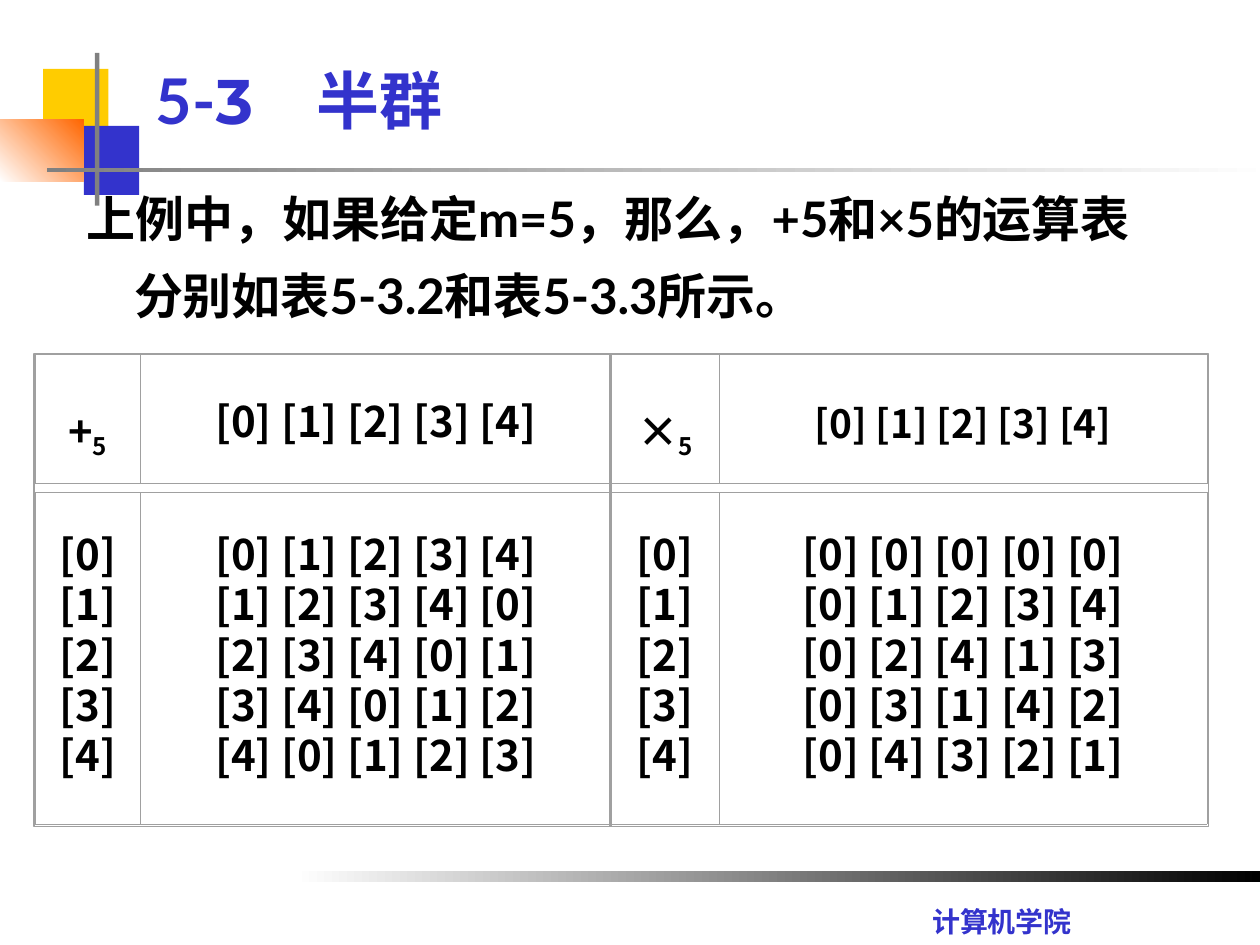
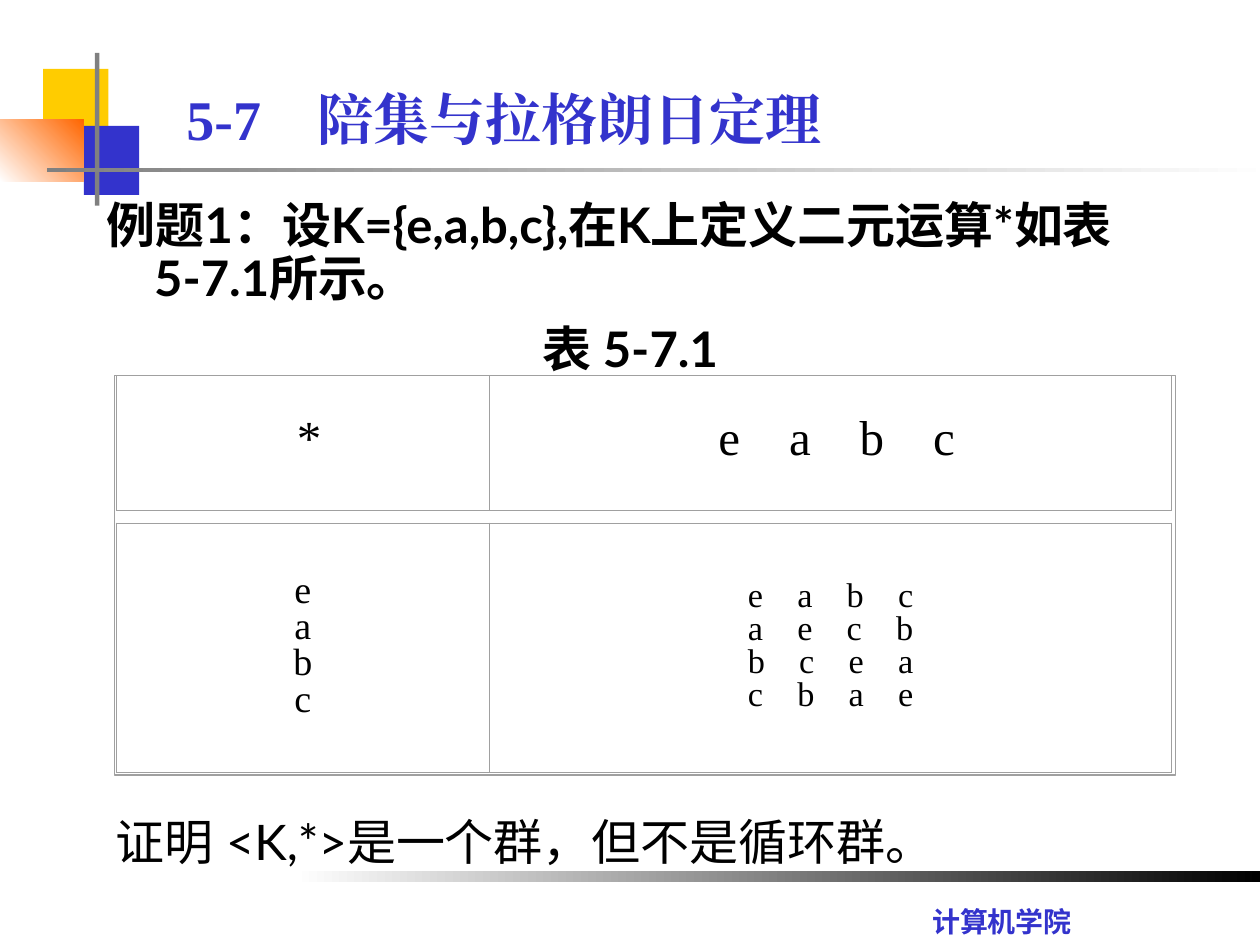
from lxml.etree import SubElement
from pptx import Presentation
from pptx.dml.color import RGBColor
from pptx.enum.shapes import MSO_SHAPE
from pptx.enum.text import MSO_ANCHOR, PP_ALIGN
from pptx.oxml.ns import qn
from pptx.util import Pt

COLOURS = {
    "ink": "000000",
    "white": "FFFFFF",
    "blue": "3333CC",
    "yellow": "FFCC00",
    "orange": "FF6600",
    "grey": "808080",
    "rule": "A0A0A0",
}
SANS = "Noto Sans CJK SC"
SERIF = "Times New Roman"
BODY = "Lato"


def colour(name):
    """Return the named colour."""
    return RGBColor.from_string(COLOURS[name])


def points(*values):
    """Turn numbers into lengths in points."""
    return [Pt(value) for value in values]


def write(para, text, font=BODY, size=28, ink="ink", bold=False, align=PP_ALIGN.LEFT,
          spacing=None, before=None, hanging=0, baseline=0):
    """Add one formatted span of text to a paragraph."""
    para.alignment = align
    if spacing:
        para.line_spacing = spacing
    if before:
        para.space_before = Pt(before)
    if hanging:
        properties = para._p.get_or_add_pPr()
        properties.set("marL", str(Pt(hanging)))
        properties.set("indent", str(-Pt(hanging)))
    span = para.add_run()
    span.text = text
    span.font.name = font
    span.font.size = Pt(size)
    span.font.bold = bold
    span.font.color.rgb = colour(ink)
    properties = span._r.get_or_add_rPr()
    SubElement(properties, qn("a:ea"), typeface=font)
    if baseline:
        properties.set("baseline", str(baseline * 1000))


def next_paragraph(frame, index):
    """Return the first paragraph of a frame, or a new one after it."""
    return frame.add_paragraph() if index else frame.paragraphs[0]


def add_text(page, box, anchor=MSO_ANCHOR.TOP, wrap=True):
    """Add a text box and return its frame."""
    frame = page.shapes.add_textbox(*points(*box)).text_frame
    frame.word_wrap = wrap
    frame.vertical_anchor = anchor
    return frame


def add_block(page, box, fill=None, gradient=None, angle=0, outline=None):
    """Add a rectangle with a plain, graded or outlined look."""
    block = page.shapes.add_shape(MSO_SHAPE.RECTANGLE, *points(*box))
    block.shadow.inherit = False
    if gradient:
        block.fill.gradient()
        block.fill.gradient_angle = angle
        for stop, name in zip(block.fill.gradient_stops, gradient):
            stop.color.rgb = colour(name)
    elif fill:
        block.fill.solid()
        block.fill.fore_color.rgb = colour(fill)
    else:
        block.fill.background()
    if outline:
        block.line.color.rgb = colour(outline)
        block.line.width = Pt(0.88)
    else:
        block.line.fill.background()


def add_page(deck):
    """Add a blank page with the shared ornament, rules and footer."""
    page = deck.slides.add_slide(deck.slide_layouts[6])
    add_block(page, (24.7, 39.4, 37.3, 39.4), fill="yellow")
    add_block(page, (48, 72, 31.5, 39.4), fill="blue")
    add_block(page, (0, 68.2, 47.7, 35.3), gradient=("white", "orange"), angle=45)
    add_block(page, (54.2, 30.2, 2.6, 87.4), fill="grey")
    add_block(page, (26.8, 96, 702, 2.5), gradient=("grey", "white"))
    add_block(page, (168, 498, 552, 6), gradient=("white", "ink"))
    footer = add_text(page, (525.6, 513.4, 98, 26.6), wrap=False)
    write(footer.paragraphs[0], "计算机学院", font="Cabin", size=16, ink="blue", bold=True)
    return page


def add_title(page, box, spans, size):
    """Add the heading from pairs of text and font."""
    para = add_text(page, box, MSO_ANCHOR.MIDDLE).paragraphs[0]
    for text, font in spans:
        write(para, text, font=font, size=size, ink="blue", bold=True)


def rule_cell(cell, ruled):
    """Clear the fill of a cell and draw or hide its borders."""
    cell.fill.background()
    properties = cell._tc.get_or_add_tcPr()
    for index, side in enumerate(("a:lnL", "a:lnR", "a:lnT", "a:lnB")):
        line = SubElement(properties, qn(side), w=str(Pt(0.25)))
        if ruled or side in ("a:lnT", "a:lnB"):
            fill = SubElement(line, qn("a:solidFill"))
            SubElement(fill, qn("a:srgbClr"), val=COLOURS["rule"])
        else:
            SubElement(line, qn("a:noFill"))
        properties.insert(index, line)


def fill_cell(cell, lines, nudge=(0, 0), **style):
    """Write centred lines into a cell, moved right and down by the nudge."""
    right, down = nudge
    cell.vertical_anchor = MSO_ANCHOR.MIDDLE
    cell.margin_left = Pt(7.2 + 2 * right)
    cell.margin_right = Pt(7.2)
    cell.margin_top = Pt(3.6 + 2 * max(down, 0))
    cell.margin_bottom = Pt(3.6 + 2 * max(-down, 0))
    for index, line in enumerate(lines):
        write(next_paragraph(cell.text_frame, index), line, align=PP_ALIGN.CENTER, **style)


def add_operation_table(page, box, columns, rows, frame_box):
    """Add a framed operation table with a narrow gap below its header."""
    left, top = box
    table = page.shapes.add_table(
        3, 2, *points(left, top, sum(columns), sum(rows))).table
    table.first_row = table.horz_banding = False
    for column, width in zip(table.columns, columns):
        column.width = Pt(width)
    for row, height in zip(table.rows, rows):
        row.height = Pt(height)
    for row in range(3):
        for column in range(2):
            rule_cell(table.cell(row, column), ruled=row != 1)
    for column in range(2):
        gap = table.cell(1, column)
        gap.margin_left = gap.margin_right = gap.margin_top = gap.margin_bottom = 0
        SubElement(gap.text_frame.paragraphs[0]._p, qn("a:endParaRPr"), sz="100")
    add_block(page, frame_box, outline="rule")
    return table


def add_modular_table(page, box, columns, frame_box, sign, results, header_style):
    """Add the table of a sum or product modulo five."""
    table = add_operation_table(page, box, columns, (74, 5, 189.5), frame_box)
    style = dict(font=SANS, bold=True)
    fill_cell(table.cell(0, 0), [sign], nudge=(0, 7), size=23.8, **style)
    write(table.cell(0, 0).text_frame.paragraphs[0], "5", size=23.8, baseline=-20,
          align=PP_ALIGN.CENTER, **style)
    fill_cell(table.cell(0, 1), [bracket(range(5))], **header_style, **style)
    body = dict(size=24, spacing=Pt(28.8), **style)
    fill_cell(table.cell(2, 0), [bracket([number]) for number in range(5)], **body)
    fill_cell(table.cell(2, 1), [bracket(row) for row in results], **body)


def bracket(numbers):
    """Write numbers as residue classes."""
    return " ".join(f"[{number}]" for number in numbers)


def build_semigroup(deck):
    """Build the page with the two modular tables."""
    page = add_page(deck)
    intro = add_text(page, (42.5, 94.3, 617.8, 102.2))
    write(intro.paragraphs[0], "上例中，如果给定m=5，那么，+5和×5的运算表分别如表5-3.2和表5-3.3所示。",
          bold=True, spacing=1.3, hanging=27)
    sums = [[(row + column) % 5 for column in range(5)] for row in range(5)]
    products = [[row * column % 5 for column in range(5)] for row in range(5)]
    add_modular_table(page, (20.2, 202.3), (59.8, 269.2), (19.5, 202.3, 329.8, 270),
                      "+", sums, dict(size=24))
    add_modular_table(page, (349.2, 202.3), (61.9, 278.6), (348.5, 202.3, 342, 270),
                      "×", products, dict(size=22.2, nudge=(0, 1.5)))
    add_title(page, (82, 31.7, 612, 50.4),
              [("5-", BODY), ("3", "Montserrat"), ("　半群", BODY)], size=36)


def build_cosets(deck):
    """Build the page with the group example."""
    page = add_page(deck)
    intro = add_text(page, (54, 111.6, 612, 131.8))
    style = dict(bold=True, spacing=0.9, hanging=27)
    write(intro.paragraphs[0], "例题1：设K={e,a,b,c},在K上定义二元运算*如表5-7.1所示。", **style)
    write(intro.add_paragraph(), "表 5-7.1", align=PP_ALIGN.CENTER, before=10, **style)
    table = add_operation_table(page, (66.4, 214.6), (213.4, 389.6), (77, 7.2, 142.6),
                                (65.5, 214.6, 606.2, 228.2))
    header = dict(font=SERIF, size=28, nudge=(3.5, -2.3))
    fill_cell(table.cell(0, 0), ["*"], **header)
    fill_cell(table.cell(0, 1), ["e　a　b　c"], **header)
    fill_cell(table.cell(2, 0), "eabc", font=SERIF, size=21.7, spacing=Pt(20.8))
    results = ["　".join(row) for row in ("eabc", "aecb", "bcea", "cbae")]
    fill_cell(table.cell(2, 1), results, font=SERIF, size=19.6, spacing=Pt(18.8))
    claim = add_text(page, (59, 460, 570.2, 41))
    write(claim.paragraphs[0], "证明 <K,*>是一个群，但不是循环群。")
    add_title(page, (99.4, 37.4, 598.3, 59.8), [("5-7　陪集与拉格朗日定理", SERIF)], size=32)


def main():
    """Build and save the deck."""
    deck = Presentation()
    deck.slide_width, deck.slide_height = points(720, 540)
    build_semigroup(deck)
    build_cosets(deck)
    deck.save("out.pptx")


if __name__ == "__main__":
    main()
